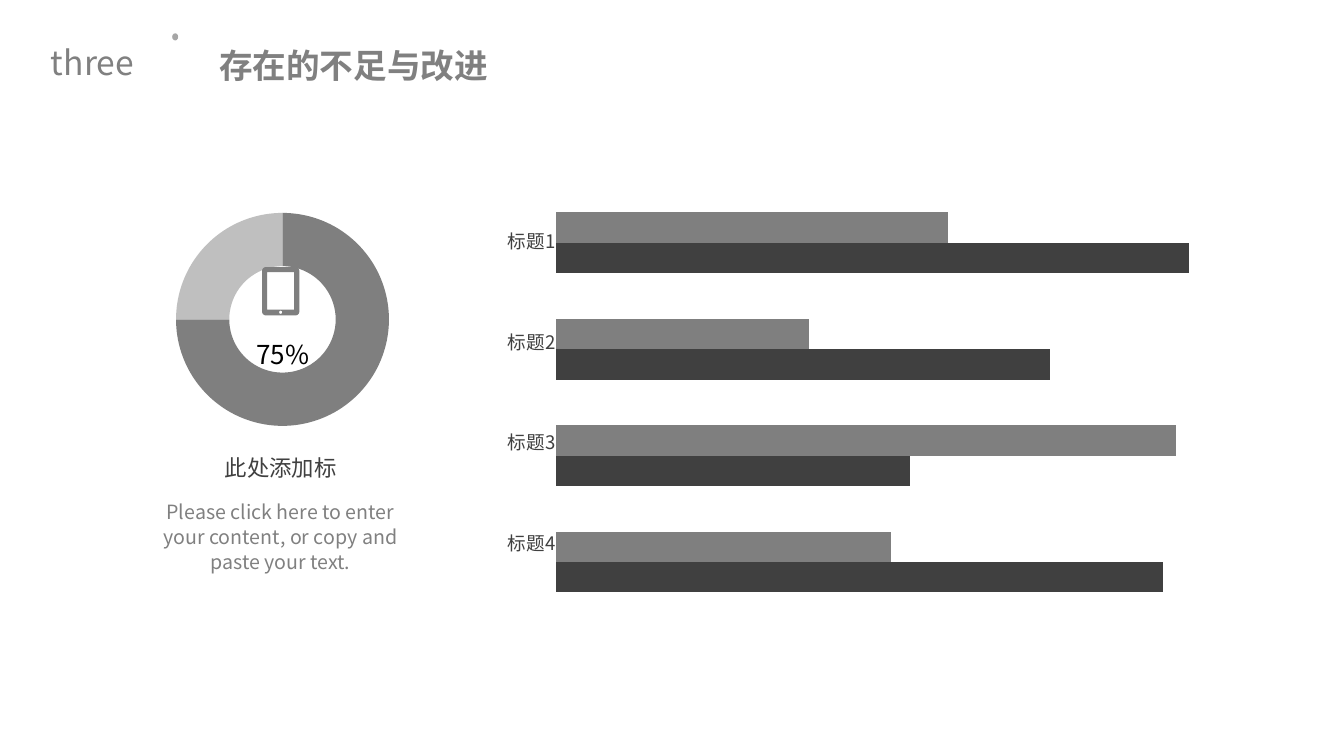
import math

from lxml import etree
from pptx import Presentation
from pptx import util as u
from pptx.chart import data
from pptx.dml.color import RGBColor
from pptx.enum import chart as charts
from pptx.enum import shapes, text
from pptx.oxml import ns

GREY = RGBColor(0x80, 0x80, 0x80)
MID = RGBColor(0x7F, 0x7F, 0x7F)
DARK = RGBColor(0x40, 0x40, 0x40)
PALE = RGBColor(0xBF, 0xBF, 0xBF)
DOT = RGBColor(0xA6, 0xA6, 0xA6)
BLACK = RGBColor(0, 0, 0)
FONT = "Noto Sans CJK SC"


def place(left, top, width, height):
    """Return a box measured in centimetres as lengths."""
    return u.Cm(left), u.Cm(top), u.Cm(width), u.Cm(height)


def write(frame, words, size, colour, align, bold=False):
    """Put one formatted run in a text frame and return its paragraph."""
    para = frame.paragraphs[0]
    para.alignment = align
    span = para.add_run()
    span.text = words
    span.font.size = u.Pt(size)
    span.font.bold = bold
    span.font.name = FONT
    span.font.color.rgb = colour
    east_asian = etree.SubElement(span.font._element, ns.qn("a:ea"))
    east_asian.set("typeface", FONT)
    return para


def add_label(page, box, words, size, colour, align=text.PP_ALIGN.CENTER, wrap=True):
    """Add a text box and return its paragraph."""
    frame = page.shapes.add_textbox(*place(*box)).text_frame
    frame.word_wrap = wrap
    return write(frame, words, size, colour, align)


def paint(shape, colour):
    """Give a shape a plain fill without outline or shadow."""
    shape.shadow.inherit = False
    shape.fill.solid()
    shape.fill.fore_color.rgb = colour
    shape.line.fill.background()


def add_graph(page, box, kind, series, categories, plot_box):
    """Add a chart whose plot fills the given fractions of its box."""
    table = data.CategoryChartData()
    table.categories = categories
    for name, values in series:
        table.add_series(name, values)
    graph = page.shapes.add_chart(kind, *place(*box), table).chart
    graph.has_legend = False
    graph.has_title = False
    graph.font.size = u.Pt(18)
    graph.font.name = "Calibri"
    graph.font.color.rgb = BLACK
    area = graph._chartSpace.chart.plotArea
    for old in area.findall(ns.qn("c:layout")):
        area.remove(old)
    layout = etree.Element(ns.qn("c:layout"))
    manual = etree.SubElement(layout, ns.qn("c:manualLayout"))
    settings = [("layoutTarget", "inner"), ("xMode", "edge"), ("yMode", "edge")]
    settings += zip("xywh", plot_box)
    for tag, value in settings:
        etree.SubElement(manual, ns.qn("c:" + tag)).set("val", str(value))
    area.insert(0, layout)
    return graph


def rounded_outline(left, top, width, height, radius):
    """Return the corner points of a closed rounded rectangle."""
    corners = [(left + width - radius, top + height - radius),
               (left + radius, top + height - radius),
               (left + radius, top + radius),
               (left + width - radius, top + radius)]
    points = []
    for quarter, (x, y) in enumerate(corners):
        for step in range(7):
            angle = math.radians(90 * quarter + 15 * step)
            points.append((u.Cm(x + radius * math.cos(angle)),
                           u.Cm(y + radius * math.sin(angle))))
    return points


def add_tablet(page, left, top):
    """Draw a tablet with its screen and button cut out."""
    frame = rounded_outline(left, top, 0.94, 1.22, 0.1)
    screen = [(u.Cm(left + x), u.Cm(top + y))
              for x, y in ((0.13, 0.13), (0.13, 1.07), (0.81, 1.07), (0.81, 0.13))]
    button = rounded_outline(left + 0.43, top + 1.1, 0.08, 0.08, 0.04)
    builder = page.shapes.build_freeform(*frame[0])
    builder.add_line_segments(frame[1:])
    for hole in (screen, button):
        builder.move_to(*hole[0])
        builder.add_line_segments(hole[1:])
    paint(builder.convert_to_shape(), MID)


def add_header(page, left, top):
    """Place the section number, the dot and the title."""
    add_label(page, (left, top + 0.1, 2.62, 1.27), "three", 24, GREY, wrap=False)
    dot = page.shapes.add_shape(shapes.MSO_SHAPE.OVAL,
                                *place(left + 3.32, top, 0.15, 0.18))
    paint(dot, DOT)
    title = page.shapes.title
    title.left, title.top, title.width, title.height = place(left + 3.81, top, 12.27, 1.73)
    frame = title.text_frame
    frame.word_wrap = True
    frame.auto_size = text.MSO_AUTO_SIZE.NONE
    frame.vertical_anchor = text.MSO_ANCHOR.MIDDLE
    frame.margin_left, frame.margin_top = u.Cm(0.69), u.Cm(0.43)
    frame.margin_right, frame.margin_bottom = u.Cm(0.76), u.Cm(0.43)
    para = write(frame, "存在的不足与改进", 24, GREY, text.PP_ALIGN.JUSTIFY, True)
    para.line_spacing = 0.9


def add_share(page, left, top, width):
    """Place the doughnut with its icon, figure and caption."""
    middle = left + width / 2
    graph = add_graph(page, (left, top, width, 6.1), charts.XL_CHART_TYPE.DOUGHNUT,
                      [("Series 1", (75, 25))], ("1", "2"), (0.21, 0.06, 0.59, 0.88))
    plot = graph.plots[0]
    plot.vary_by_categories = True
    plot._element.find(ns.qn("c:holeSize")).set("val", "80")
    for index, colour in enumerate((MID, PALE)):
        point = plot.series[0].points[index].format
        point.fill.solid()
        point.fill.fore_color.rgb = colour
        point.line.fill.background()
    add_label(page, (middle - 1.69, top + 3.41, 3.48, 1.07), "75%", 18.6, BLACK)
    add_tablet(page, middle - 0.47, top + 1.73)
    add_label(page, (middle - 1.89, top + 6.33, 3.78, 0.94), "此处添加标", 16, DARK)
    body = add_label(page, (middle - 3.47, top + 7.42, 6.93, 2.13),
                     "Please click here to enter your content, or copy and paste your text.",
                     14, GREY)
    body.line_spacing = u.Pt(18)


def add_bars(page, left, top, width, height):
    """Place the bar chart and the labels of its groups."""
    series = [("Series 1", (96, 56, 78, 100)), ("Series 2", (53, 98, 40, 62))]
    graph = add_graph(page, (left + 2.46, top, width - 2.46, height),
                      charts.XL_CHART_TYPE.BAR_CLUSTERED, series,
                      ("1", "2", "3", "4"), (0.02, 0.02, 0.95, 0.96))
    plot = graph.plots[0]
    plot.gap_width = 150
    plot.overlap = 0
    plot.vary_by_categories = False
    for bars, colour in zip(plot.series, (DARK, MID)):
        bars.format.fill.solid()
        bars.format.fill.fore_color.rgb = colour
    graph.value_axis.minimum_scale = 0
    graph.value_axis.maximum_scale = 110
    graph.value_axis.has_major_gridlines = False
    graph.value_axis.visible = False
    graph.category_axis.visible = False
    for row in range(4):
        para = add_label(page, (left, top + 0.96 + 2.53 * row, 3.07, 1.07),
                         f"标题{row + 1}", 13.3, DARK, text.PP_ALIGN.RIGHT)
        para.line_spacing = 1.3


def main():
    """Build the slide and save it."""
    deck = Presentation()
    deck.slide_width, deck.slide_height = u.Cm(33.87), u.Cm(19.05)
    page = deck.slides.add_slide(deck.slide_layouts[5])
    add_header(page, 1.02, 0.84)
    add_share(page, 2.49, 5, 9.17)
    add_bars(page, 11.18, 4.55, 20.93, 11.18)
    deck.save("out.pptx")


if __name__ == "__main__":
    main()
